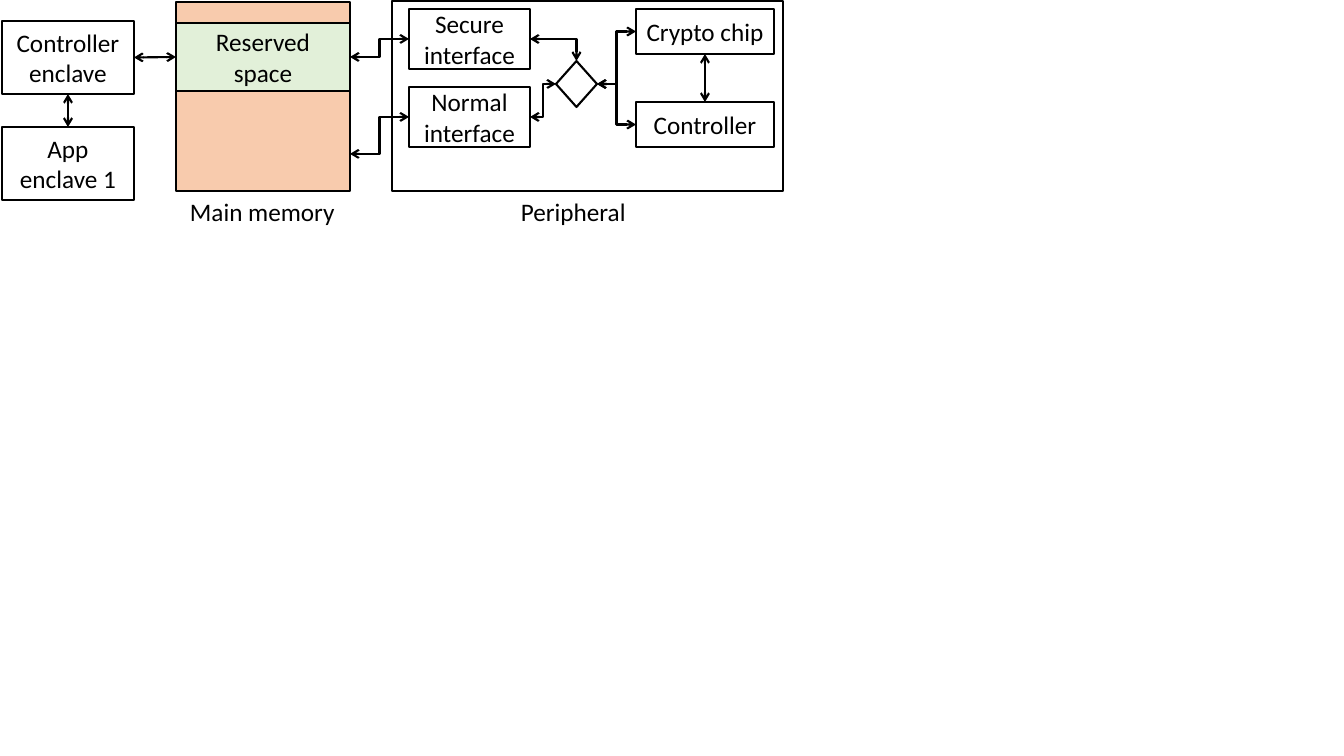
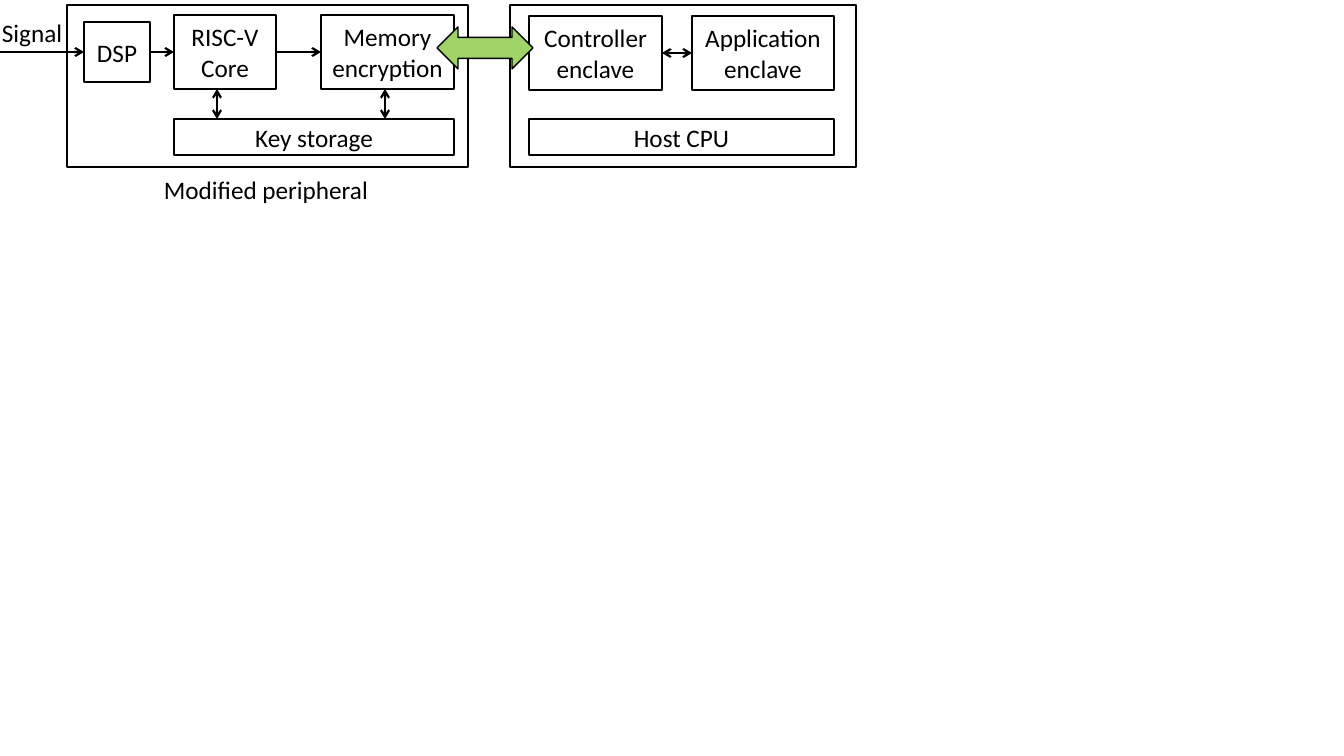
from dataclasses import dataclass
from typing import Optional, Union

from pptx import Presentation
from pptx.dml.color import RGBColor
from pptx.enum.shapes import MSO_CONNECTOR, MSO_SHAPE
from pptx.enum.text import MSO_ANCHOR, MSO_AUTO_SIZE, PP_ALIGN
from pptx.oxml.ns import qn
from pptx.util import Emu, Pt
from lxml.etree import SubElement

# Shared scale and style
EMU_PER_PIXEL = 914400 / 100.8
FONT_NAME = "Calibri"
FONT_SIZE = 18
LINE_WIDTH = 1.5
BLACK, WHITE = "000000", "FFFFFF"
MEMORY_ORANGE, RESERVED_GREEN, CHANNEL_GREEN = "F8CBAD", "E2F0D9", "A0D468"
TOP, LEFT, BOTTOM, RIGHT = range(4)  # connection sites of a shape


@dataclass(frozen=True)
class Box:
    name: str
    left: int
    top: int
    width: int
    height: int
    text: str = ""
    fill: Optional[str] = WHITE
    kind: MSO_SHAPE = MSO_SHAPE.RECTANGLE
    line_width: float = LINE_WIDTH

    def site(self, side: int) -> tuple[float, float]:
        middle_x, middle_y = self.left + self.width / 2, self.top + self.height / 2
        return {
            TOP: (middle_x, self.top),
            LEFT: (self.left, middle_y),
            BOTTOM: (middle_x, self.top + self.height),
            RIGHT: (self.left + self.width, middle_y),
        }[side]


@dataclass(frozen=True)
class Label:
    text: str
    left: int
    top: int
    width: int
    height: int = 40


@dataclass(frozen=True)
class Site:
    box: str
    side: int


@dataclass(frozen=True)
class Point:
    x: int
    y: int


@dataclass(frozen=True)
class Link:
    start: Union[Site, Point]
    end: Union[Site, Point]
    two_way: bool = True
    geometry: str = "line"


@dataclass(frozen=True)
class Diagram:
    boxes: list[Box]
    labels: list[Label]
    links: list[Link]
    overlays: list[Box]


def px(pixels: float) -> Emu:
    return Emu(round(pixels * EMU_PER_PIXEL))


def color(hex_value: str) -> RGBColor:
    return RGBColor.from_string(hex_value)


def write_text(shape, text: str, alignment: PP_ALIGN) -> None:
    paragraph = shape.text_frame.paragraphs[0]
    paragraph.text = text
    paragraph.alignment = alignment
    paragraph.font.name = FONT_NAME
    paragraph.font.size = Pt(FONT_SIZE)
    paragraph.font.color.rgb = color(BLACK)


def draw_box(slide, box: Box):
    shape = slide.shapes.add_shape(
        box.kind, px(box.left), px(box.top), px(box.width), px(box.height))
    shape.shadow.inherit = False
    if box.fill:
        shape.fill.solid()
        shape.fill.fore_color.rgb = color(box.fill)
    else:
        shape.fill.background()
    shape.line.color.rgb = color(BLACK)
    shape.line.width = Pt(box.line_width)
    if box.text:
        shape.text_frame.word_wrap = True
        shape.text_frame.vertical_anchor = MSO_ANCHOR.MIDDLE
        write_text(shape, box.text, PP_ALIGN.CENTER)
    return shape


def draw_label(slide, label: Label) -> None:
    shape = slide.shapes.add_textbox(
        px(label.left), px(label.top), px(label.width), px(label.height))
    shape.text_frame.word_wrap = False
    shape.text_frame.auto_size = MSO_AUTO_SIZE.SHAPE_TO_FIT_TEXT
    write_text(shape, label.text, PP_ALIGN.LEFT)


def draw_link(slide, link: Link, boxes: dict[str, Box], shapes: dict) -> None:
    def locate(end: Union[Site, Point]) -> tuple[float, float]:
        if isinstance(end, Site):
            return boxes[end.box].site(end.side)
        return end.x, end.y

    kind = MSO_CONNECTOR.STRAIGHT if link.geometry == "line" else MSO_CONNECTOR.ELBOW
    ends = [px(value) for value in locate(link.start) + locate(link.end)]
    connector = slide.shapes.add_connector(kind, *ends)
    if isinstance(link.start, Site):
        connector.begin_connect(shapes[link.start.box], link.start.side)
    if isinstance(link.end, Site):
        connector.end_connect(shapes[link.end.box], link.end.side)
    connector.line.color.rgb = color(BLACK)
    connector.line.width = Pt(LINE_WIDTH)

    # Outline shape, arrowheads and no shadow
    properties = connector.element.spPr
    properties.find(qn("a:prstGeom")).set("prst", link.geometry)
    outline = properties.find(qn("a:ln"))
    if link.two_way:
        SubElement(outline, qn("a:headEnd")).set("type", "arrow")
    SubElement(outline, qn("a:tailEnd")).set("type", "arrow")
    SubElement(properties, qn("a:effectLst"))


def draw_diagram(presentation, diagram: Diagram) -> None:
    slide = presentation.slides.add_slide(presentation.slide_layouts[6])
    boxes = {box.name: box for box in diagram.boxes}
    shapes = {name: draw_box(slide, box) for name, box in boxes.items()}
    for label in diagram.labels:
        draw_label(slide, label)
    for link in diagram.links:
        draw_link(slide, link, boxes, shapes)
    for overlay in diagram.overlays:
        draw_box(slide, overlay)


ELBOW = "bentConnector3"
CORNER = "bentConnector2"

# Slide 1: enclaves, main memory and peripheral
memory_diagram = Diagram(
    boxes=[
        Box("peripheral", 392, 1, 391, 190),
        Box("memory", 176, 2, 174, 189, fill=MEMORY_ORANGE),
        Box("reserved", 176, 23, 174, 68, "Reserved space", RESERVED_GREEN),
        Box("crypto", 636, 9, 138, 45, "Crypto chip"),
        Box("controller", 636, 102, 138, 45, "Controller"),
        Box("secure", 409, 9, 121, 60, "Secure interface"),
        Box("normal", 409, 87, 121, 60, "Normal interface"),
        Box("controller enclave", 2, 21, 132, 73, "Controller enclave"),
        Box("app enclave", 2, 127, 132, 73, "App enclave 1"),
        Box("switch", 556, 61, 41, 46, fill=None, kind=MSO_SHAPE.DIAMOND),
    ],
    labels=[
        Label("Peripheral", 511, 191, 126),
        Label("Main memory", 180, 191, 166),
    ],
    links=[
        Link(Site("controller enclave", RIGHT), Site("reserved", LEFT)),
        Link(Site("controller enclave", BOTTOM), Site("app enclave", TOP)),
        Link(Site("crypto", BOTTOM), Site("controller", TOP)),
        Link(Site("reserved", RIGHT), Site("secure", LEFT), geometry=ELBOW),
        Link(Point(350, 154), Site("normal", LEFT), geometry=ELBOW),
        Link(Site("secure", RIGHT), Site("switch", TOP), geometry=CORNER),
        Link(Site("normal", RIGHT), Site("switch", LEFT), geometry=ELBOW),
        Link(Site("switch", RIGHT), Site("crypto", LEFT), geometry=ELBOW),
        Link(Site("switch", RIGHT), Site("controller", LEFT), geometry=ELBOW),
    ],
    overlays=[],
)

# Slide 2: modified peripheral and host
host_diagram = Diagram(
    boxes=[
        Box("peripheral", 67, 5, 401, 162),
        Box("dsp", 84, 22, 66, 60, "DSP"),
        Box("core", 174, 15, 102, 74, "RISC-V Core"),
        Box("encryption", 321, 15, 133, 74, "Memory encryption"),
        Box("keys", 174, 119, 280, 36, "Key storage"),
        Box("host", 510, 5, 346, 162),
        Box("controller enclave", 529, 16, 133, 74, "Controller enclave"),
        Box("application enclave", 692, 16, 142, 74, "Application enclave"),
        Box("cpu", 529, 119, 305, 36, "Host CPU"),
    ],
    labels=[
        Label("Modified peripheral", 154, 169, 227),
        Label("Signal", -8, 12, 82),
    ],
    links=[
        Link(Point(-8, 52), Site("dsp", LEFT), two_way=False),
        Link(Site("dsp", RIGHT), Site("core", LEFT), two_way=False),
        Link(Site("core", RIGHT), Site("encryption", LEFT), two_way=False),
        Link(Point(217, 119), Point(217, 89)),
        Link(Point(385, 119), Point(385, 89)),
        Link(Site("controller enclave", RIGHT), Site("application enclave", LEFT)),
    ],
    overlays=[
        Box("channel", 437, 27, 96, 42, fill=CHANNEL_GREEN,
            kind=MSO_SHAPE.LEFT_RIGHT_ARROW, line_width=1),
    ],
)

presentation = Presentation()
presentation.slide_width = px(1344)
presentation.slide_height = px(756)
for diagram in (memory_diagram, host_diagram):
    draw_diagram(presentation, diagram)
presentation.save("out.pptx")
